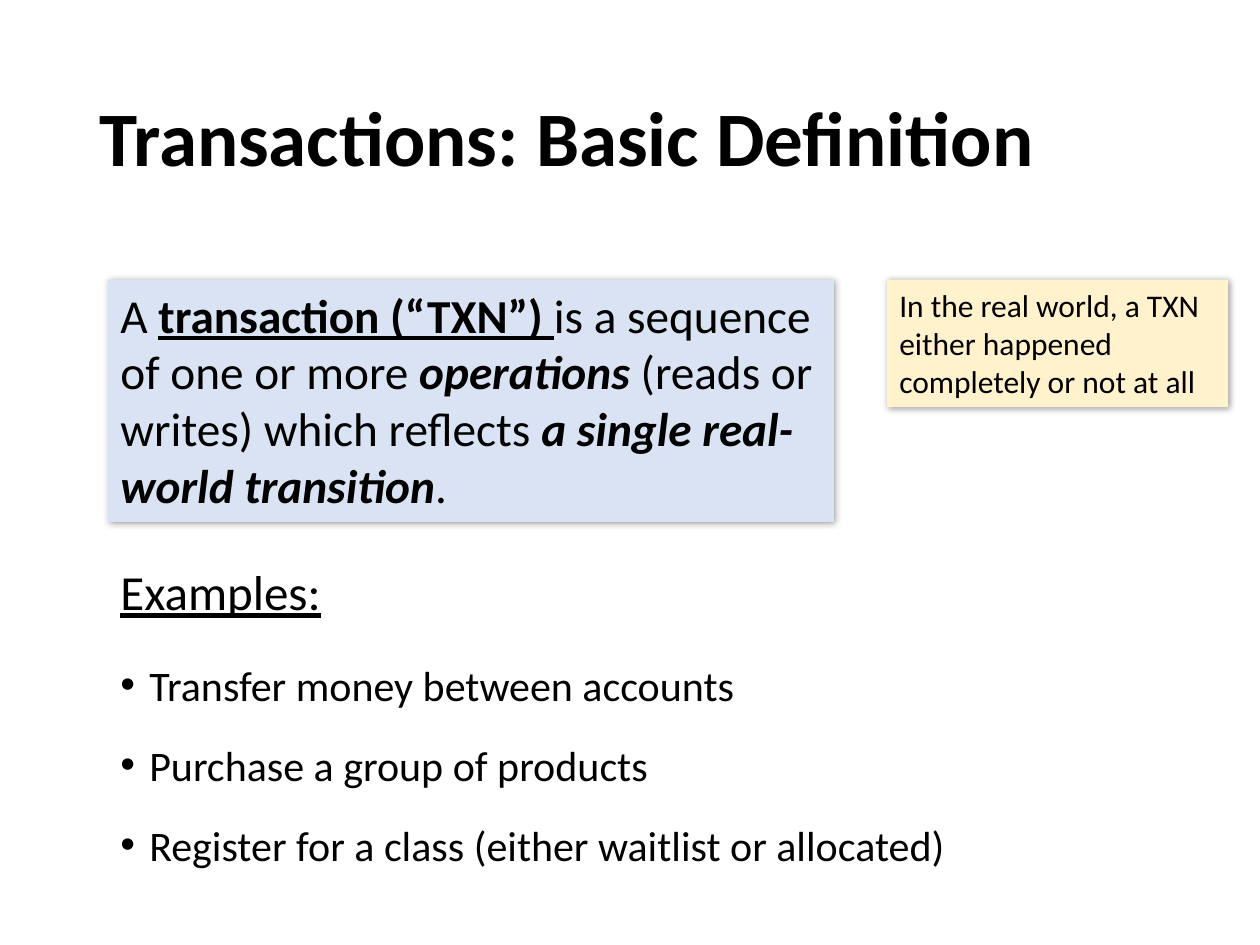
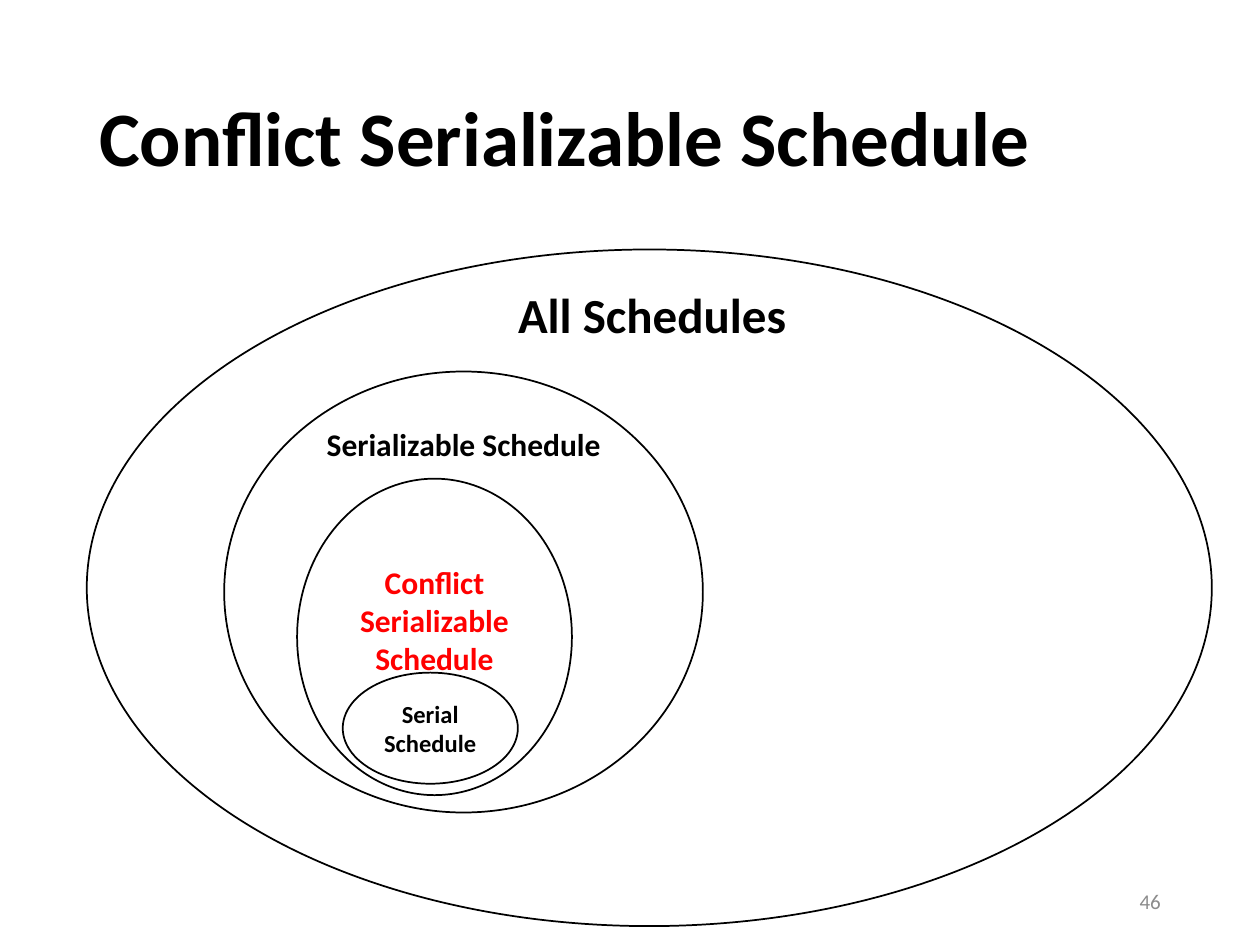
from lxml.etree import SubElement
from pptx import Presentation
from pptx.dml.color import RGBColor
from pptx.enum.shapes import MSO_SHAPE as Shape
from pptx.enum.text import MSO_ANCHOR as Anchor, PP_ALIGN as Align
from pptx.oxml import parse_xml
from pptx.oxml.ns import nsdecls, qn
from pptx.util import Cm, Pt

BLACK, WHITE, RED, GREY = "000000", "FFFFFF", "FF0000", "8C8C8C"
BLUE_CARD, YELLOW_CARD = "DAE3F3", "FFF2CC"
FONT = "Calibri"
SHADOW = (
    f'<a:effectLst {nsdecls("a")}>'
    '<a:outerShdw blurRad="50800" dist="12700" dir="2700000" algn="tl" rotWithShape="0">'
    '<a:srgbClr val="000000"><a:alpha val="40000"/></a:srgbClr>'
    '</a:outerShdw></a:effectLst>'
)


def rgb(value):
    return RGBColor.from_string(value)


def write(box, text, size=18, color=BLACK, style="", align=Align.LEFT,
          anchor=Anchor.TOP, line=1.0, before=0, bullet=False, more=False):
    """Write one paragraph; text is a string or a list of (words, style).

    A style holds any of the letters b, i and u. With more, the paragraph
    follows those already in the box.
    """
    frame = box.text_frame
    frame.word_wrap = True
    frame.vertical_anchor = anchor
    para = frame.add_paragraph() if more else frame.paragraphs[0]
    para.alignment = align
    para.line_spacing = line
    para.space_before = Pt(before)
    if bullet:
        properties = para._p.get_or_add_pPr()
        properties.set("marL", str(Cm(0.58)))
        properties.set("indent", str(-Cm(0.58)))
        SubElement(properties, qn("a:buFont")).set("typeface", "Arial")
        SubElement(properties, qn("a:buChar")).set("char", "•")
    for words, marks in [(text, style)] if isinstance(text, str) else text:
        span = para.add_run()
        span.text = words
        span.font.name = FONT
        span.font.size = Pt(size)
        span.font.color.rgb = rgb(color)
        span.font.bold = "b" in marks
        span.font.italic = "i" in marks
        span.font.underline = "u" in marks


deck = Presentation()
deck.slide_width, deck.slide_height = Cm(25.4), Cm(19.05)

# Pages with their titles
pages = []
for title in ["Transactions: Basic Definition", "Conflict Serializable Schedule"]:
    page = deck.slides.add_slide(deck.slide_layouts[6])
    box = page.shapes.add_textbox(Cm(1.75), Cm(1.02), Cm(21.89), Cm(3.68))
    write(box, title, size=44, style="b", anchor=Anchor.MIDDLE, line=0.9)
    pages.append(page)
definition_page, schedule_page = pages

# Examples
examples = definition_page.shapes.add_textbox(Cm(2.18), Cm(11.43), Cm(20.73), Cm(6.27))
write(examples, "Examples:", size=28, style="u", line=0.8)
for text, gap in [
    ("Transfer money between accounts", 28),
    ("Purchase a group of products", 22.6),
    ("Register for a class (either waitlist or allocated)", 22.6),
]:
    write(examples, text, size=24, line=0.8, before=gap, bullet=True, more=True)

# Definition and remark cards
definition = [
    ("A ", ""),
    ("transaction (“TXN”) ", "bu"),
    ("is a sequence of one or more ", ""),
    ("operations", "bi"),
    (" (reads or writes) which reflects ", ""),
    ("a single real-world transition", "bi"),
    (".", ""),
]
remark = "In the real world, a TXN either happened completely or not at all"
for left, width, height, fill, text, size in [
    (2.18, 14.63, 4.88, BLUE_CARD, definition, 27),
    (17.88, 6.88, 2.57, YELLOW_CARD, remark, 18),
]:
    card = definition_page.shapes.add_shape(
        Shape.RECTANGLE, Cm(left), Cm(5.64), Cm(width), Cm(height))
    card.fill.solid()
    card.fill.fore_color.rgb = rgb(fill)
    card.line.fill.background()
    card._element.spPr.append(parse_xml(SHADOW))
    write(card, text, size=size)

# Page number
number = schedule_page.shapes.add_textbox(Cm(17.93), Cm(17.65), Cm(5.72), Cm(1.02))
write(number, "46", size=12, color=GREY, align=Align.RIGHT, anchor=Anchor.MIDDLE)

# Nested sets of schedules, from the outermost inwards
sets = []
for left, top, width, height in [
    (1.75, 5.03, 22.68, 13.64),
    (4.52, 7.49, 9.65, 8.89),
    (5.99, 9.65, 5.54, 6.38),
    (6.91, 13.56, 3.53, 2.24),
]:
    oval = schedule_page.shapes.add_shape(
        Shape.OVAL, Cm(left), Cm(top), Cm(width), Cm(height))
    oval.shadow.inherit = False
    oval.fill.solid()
    oval.fill.fore_color.rgb = rgb(WHITE)
    oval.line.color.rgb = rgb(BLACK)
    oval.line.width = Pt(1)
    sets.append(oval)

# Names of the sets: the outer two near the top, the inner two inside
for left, top, width, height, text, size in [
    (10.16, 5.6, 5.97, 1.45, "All Schedules", 28),
    (5.85, 8.43, 7, 1.02, "Serializable Schedule", 18),
]:
    label = schedule_page.shapes.add_textbox(Cm(left), Cm(top), Cm(width), Cm(height))
    write(label, text, size=size, style="b", align=Align.CENTER, anchor=Anchor.MIDDLE)

conflict, serial = sets[2:]
conflict.text_frame.margin_bottom = Cm(0.8)
write(conflict, "Conflict Serializable Schedule", color=RED, style="b",
      align=Align.CENTER, anchor=Anchor.MIDDLE)
write(serial, "Serial Schedule", size=14, style="b",
      align=Align.CENTER, anchor=Anchor.MIDDLE)

deck.save("out.pptx")
